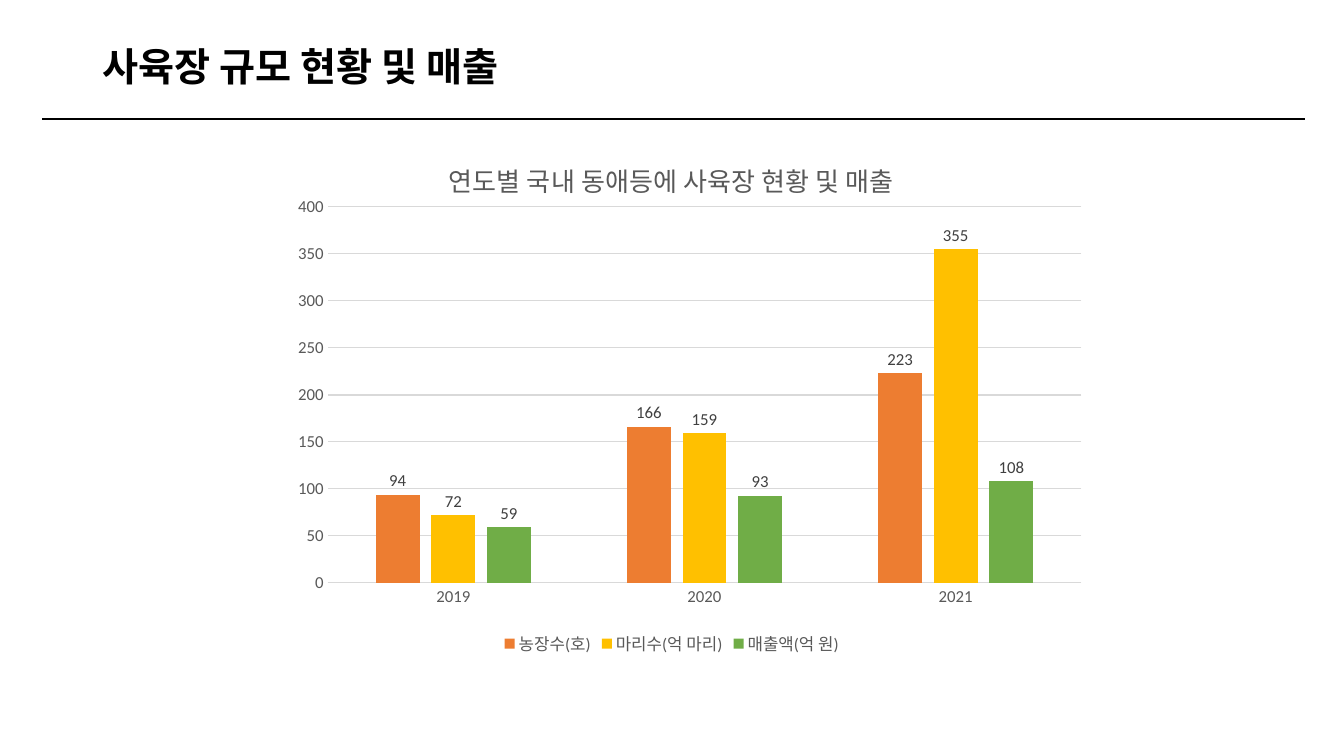
from lxml import etree
from pptx import Presentation
from pptx.chart.data import CategoryChartData
from pptx.dml.color import RGBColor
from pptx.enum import chart as kinds, shapes, text
from pptx.oxml import parse_xml
from pptx.oxml.ns import nsdecls, qn
from pptx.util import Pt

PX = 9144
COLORS = {
    "ink": "000000", "axis": "595959", "label": "404040", "grid": "D9D9D9",
    "farms": "ED7D31", "insects": "FFC000", "sales": "70AD47",
}
YEARS = ["2019", "2020", "2021"]
SERIES = [
    ("농장수(호)", [94, 166, 223], "farms"),
    ("마리수(억 마리)", [72, 159, 355], "insects"),
    ("매출액(억 원)", [59, 93, 108], "sales"),
]


def px(*lengths):
    return [length * PX for length in lengths]


def color(name):
    return RGBColor.from_string(COLORS[name])


def apply(target, **values):
    for name, value in values.items():
        setattr(target, name, value)


def style_font(font, size, shade, face="Calibri", bold=False):
    apply(font, size=Pt(size), name=face, bold=bold)
    font.color.rgb = color(shade)


def style_line(line, shade, width):
    line.color.rgb = color(shade)
    line.width = Pt(width)


def add_heading(page, words, *place):
    box = page.shapes.add_textbox(*px(*place))
    apply(box.text_frame, word_wrap=True, vertical_anchor=text.MSO_ANCHOR.MIDDLE)
    para = box.text_frame.paragraphs[0]
    para.line_spacing = 0.9
    span = para.add_run()
    span.text = words
    style_font(span.font, 28, "ink", bold=True)


def add_rule(page, *ends):
    rule = page.shapes.add_connector(shapes.MSO_CONNECTOR.STRAIGHT, *px(*ends))
    style_line(rule.line, "ink", 1)
    etree.SubElement(rule._element.spPr, qn("a:effectLst"))


def make_layout(**values):
    fields = "".join(f'<c:{name} val="{value}"/>' for name, value in values.items())
    return parse_xml(
        f'<c:layout {nsdecls("c")}><c:manualLayout>{fields}</c:manualLayout></c:layout>'
    )


def place_plot(chart):
    area = chart._chartSpace.chart.plotArea
    for old in area.findall(qn("c:layout")):
        area.remove(old)
    area.insert(0, make_layout(
        layoutTarget="inner", xMode="edge", yMode="edge", x=0.08, y=0.142, w=0.92, h=0.712
    ))


def add_chart_title(chart, words):
    title = chart.chart_title
    para = title.text_frame.paragraphs[0]
    span = para.add_run()
    span.text = words
    style_font(span.font, 18.6, "axis", "Roboto")
    for old in title._element.findall(qn("c:layout")):
        title._element.remove(old)
    title._element.find(qn("c:tx")).addnext(
        make_layout(xMode="edge", yMode="edge", x=0.222, y=0.04)
    )


def style_axes(chart):
    for axis in (chart.category_axis, chart.value_axis):
        apply(axis, major_tick_mark=kinds.XL_TICK_MARK.NONE,
              minor_tick_mark=kinds.XL_TICK_MARK.NONE)
        style_font(axis.tick_labels.font, 12, "axis")
    style_line(chart.category_axis.format.line, "grid", 0.75)
    values = chart.value_axis
    apply(values, minimum_scale=0, maximum_scale=400, major_unit=50)
    values.format.line.fill.background()
    style_line(values.major_gridlines.format.line, "grid", 0.75)


def style_series(plot):
    apply(plot, gap_width=219, overlap=-27, vary_by_categories=False)
    for bars, (_, _, shade) in zip(plot.series, SERIES):
        bars.format.fill.solid()
        bars.format.fill.fore_color.rgb = color(shade)
        labels = bars.data_labels
        apply(labels, show_value=True, position=kinds.XL_LABEL_POSITION.OUTSIDE_END)
        style_font(labels.font, 12, "label")


def add_sales_chart(page, title, *place):
    data = CategoryChartData(number_format="General")
    data.categories = YEARS
    for name, values, _ in SERIES:
        data.add_series(name, values)
    frame = page.shapes.add_chart(
        kinds.XL_CHART_TYPE.COLUMN_CLUSTERED, *px(*place), data
    )
    chart = frame.chart
    style_font(chart.font, 10, "ink")
    add_chart_title(chart, title)
    place_plot(chart)
    style_axes(chart)
    style_series(chart.plots[0])
    chart.has_legend = True
    apply(chart.legend, position=kinds.XL_LEGEND_POSITION.BOTTOM, include_in_layout=False)
    style_font(chart.legend.font, 12, "axis")


def main():
    deck = Presentation()
    deck.slide_width, deck.slide_height = px(1333, 750)
    page = deck.slides.add_slide(deck.slide_layouts[6])
    add_heading(page, "사육장 규모 현황 및 매출", 92, 40, 1150, 56)
    add_sales_chart(page, "연도별 국내 동애등에 사육장 현황 및 매출", 260, 131, 813, 524)
    add_rule(page, 42, 118, 1294, 118)
    deck.save("out.pptx")


if __name__ == "__main__":
    main()
